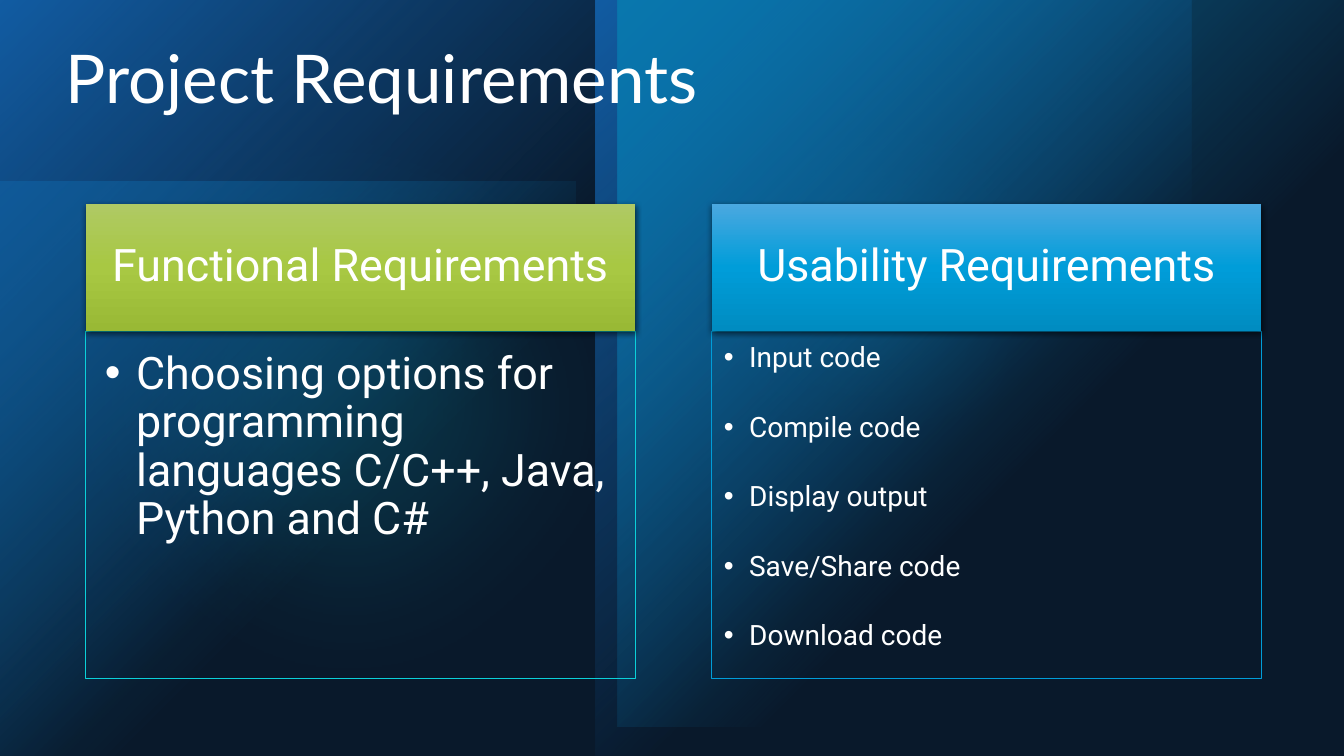
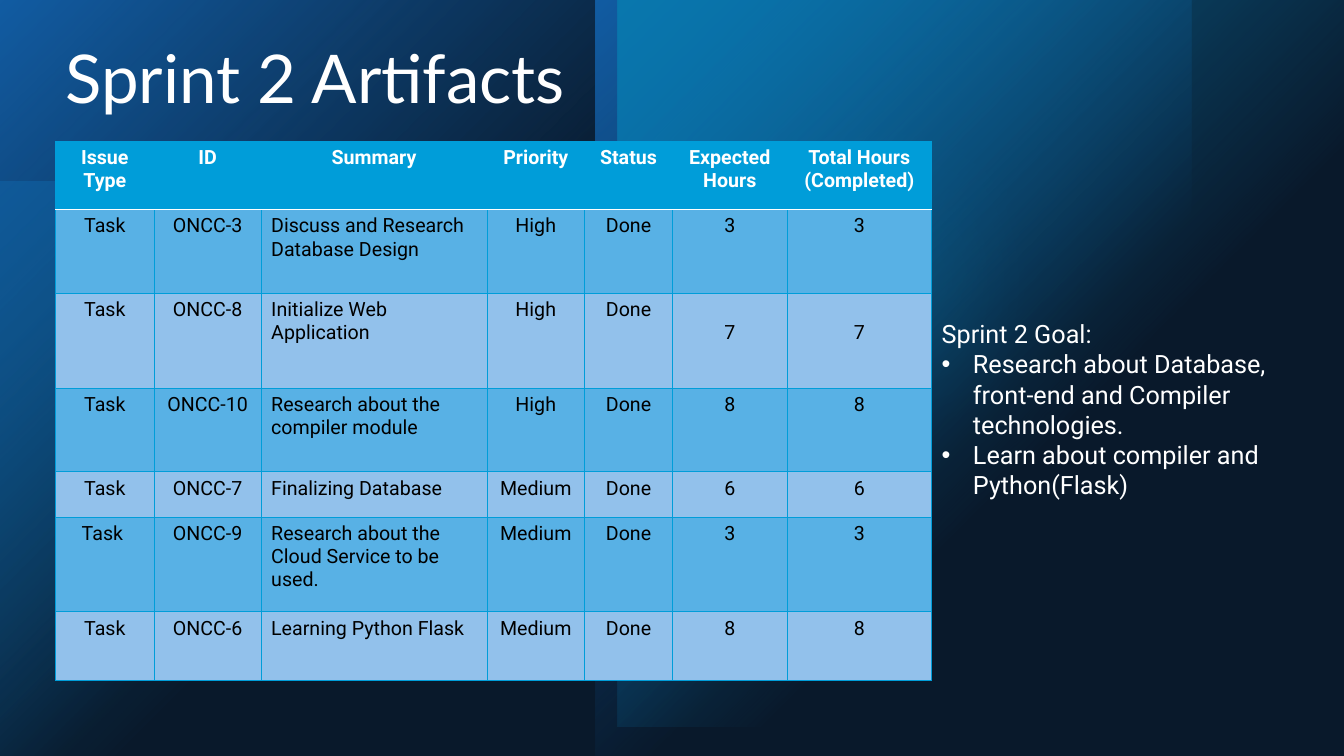
from lxml import etree
from pptx import Presentation
from pptx.dml.color import RGBColor
from pptx.enum.shapes import MSO_SHAPE
from pptx.enum.text import MSO_ANCHOR, MSO_AUTO_SIZE, PP_ALIGN
from pptx.oxml.ns import qn
from pptx.util import Inches, Pt

RECTANGLE, OVAL = MSO_SHAPE.RECTANGLE, MSO_SHAPE.OVAL
TOP, MIDDLE = MSO_ANCHOR.TOP, MSO_ANCHOR.MIDDLE
LEFT, CENTER = PP_ALIGN.LEFT, PP_ALIGN.CENTER
NO_AUTOFIT = MSO_AUTO_SIZE.NONE

COLORS = {
    "black": "000000",
    "white": "FFFFFF",
    "navy": "17406D",
    "blue": "0F6FC6",
    "sky": "009DD9",
    "cyan": "0BD0D9",
    "row_dark": "58B1E5",
    "row_light": "92C1EB",
}
TITLE_FONT, BODY_FONT = "Lato", "Roboto"


def set_gradient(shape, stops, radial=False):
    """Fill with (position, hex colour, opacity) stops, downward or from the top left corner."""
    shape.fill.gradient()
    gradient = shape.element.spPr.find(qn("a:gradFill"))
    gradient.clear()
    gradient.set("rotWithShape", "1")
    stop_list = etree.SubElement(gradient, qn("a:gsLst"))
    for position, color, opacity in stops:
        stop = etree.SubElement(stop_list, qn("a:gs"), pos=str(position * 1000))
        stop_color = etree.SubElement(stop, qn("a:srgbClr"), val=color)
        etree.SubElement(stop_color, qn("a:alpha"), val=str(opacity * 1000))
    if radial:
        direction = etree.SubElement(gradient, qn("a:path"), path="circle")
        etree.SubElement(direction, qn("a:fillToRect"), r="100000", b="100000")
    else:
        etree.SubElement(gradient, qn("a:lin"), ang="5400000", scaled="0")


def format_paragraph(paragraph, size, color="white", font=BODY_FONT, bold=False,
                     alignment=LEFT, spacing=1.0, indent=0, bullet=False):
    properties = paragraph._p.get_or_add_pPr()
    properties.set("marL", str(Inches(indent)))
    properties.set("indent", str(-Inches(indent)))
    if bullet:
        etree.SubElement(properties, qn("a:buFont"), typeface="Arial")
        etree.SubElement(properties, qn("a:buChar"), char="•")
    else:
        etree.SubElement(properties, qn("a:buNone"))
    paragraph.alignment = alignment
    paragraph.line_spacing = spacing
    paragraph.space_before = Pt(0)
    for run in paragraph.runs:
        run.font.name = font
        run.font.size = Pt(size)
        run.font.bold = bold
        run.font.color.rgb = RGBColor.from_string(COLORS[color])


presentation = Presentation()
presentation.slide_width = Inches(13.33)
presentation.slide_height = Inches(7.5)
master = presentation.slide_master
requirements_slide = presentation.slides.add_slide(
    presentation.slide_layouts.get_by_name("Two Content"))
sprint_slide = presentation.slides.add_slide(
    presentation.slide_layouts.get_by_name("Title and Content"))

# Shared background: drawn once, then moved behind everything on the master
master.background.fill.solid()
master.background.fill.fore_color.rgb = RGBColor.from_string(COLORS["black"])
# kind, left, top, width, height, colour, opacity, style
BACKDROP = [
    (RECTANGLE, 0, 1.8, 5.71, 5.71, "sky", 60, "fade"),
    (OVAL, 6.29, 0.43, 4.72, 4.72, "cyan", 60, "glow"),
    (OVAL, 0, 0.56, 6.94, 6.94, "cyan", 20, "glow"),
    (RECTANGLE, 0, 0, 5.91, 7.5, "blue", 100, "fade"),
    (RECTANGLE, 5.91, 0, 5.91, 7.5, "blue", 100, "fade"),
    (RECTANGLE, 6.13, 0, 7.21, 7.21, "sky", 100, "fade"),
    (RECTANGLE, 0, 0, 13.33, 7.5, "navy", 40, "tint"),
]
for index, (kind, left, top, width, height, color, opacity, style) in enumerate(BACKDROP):
    shape = requirements_slide.shapes.add_shape(
        kind, Inches(left), Inches(top), Inches(width), Inches(height))
    shape.line.fill.background()
    shape.shadow.inherit = False
    properties = shape.element.spPr
    if style == "fade":
        set_gradient(shape, [(0, COLORS[color], opacity), (60, COLORS[color], 0)], radial=True)
    else:
        shape.fill.solid()
        shape.fill.fore_color.rgb = RGBColor.from_string(COLORS[color])
        fill_color = properties.find(qn("a:solidFill")).find(qn("a:srgbClr"))
        etree.SubElement(fill_color, qn("a:alpha"), val=str(opacity * 1000))
    if style == "glow":
        effects = properties.find(qn("a:effectLst"))
        etree.SubElement(effects, qn("a:softEdge"), rad=str(Pt(100)))
    shape.element.nvSpPr.cNvPr.set("id", str(100 + index))
    master.shapes.element.insert(2 + index, shape.element)

# Titles
for slide, text in [(requirements_slide, "Project Requirements"),
                    (sprint_slide, "Sprint 2 Artifacts")]:
    title = slide.shapes.title
    title.left, title.top = Inches(0.55), Inches(0.4)
    title.width, title.height = Inches(12.14), Inches(0.99)
    title.text_frame.text = text
    title.text_frame.auto_size = NO_AUTOFIT
    title.text_frame.vertical_anchor = TOP
    format_paragraph(title.text_frame.paragraphs[0], 48, font=TITLE_FONT, spacing=0.9)

# Requirement cards: a header above an outlined list
CARDS = [
    {"left": 0.85, "heading": "Functional Requirements", "line": "cyan",
     "gradient": ("AFC964", "A8C843", "99B935"),
     "size": 32, "indent": 0.31, "insets": (0.19, 0.19, 0.25, 0.28),
     "items": ["Choosing options for programming languages C/C++, Java, Python and C#"]},
    {"left": 7.06, "heading": "Usability Requirements", "line": "sky",
     "gradient": ("4BA8E0", "009DD9", "008CC1"),
     "size": 20, "indent": 0.25, "insets": (0.12, 0.12, 0.16, 0.17),
     "items": ["Input code", "Compile code", "Display output", "Save/Share code",
               "Download code"]},
]
CARD_WIDTH = Inches(5.45)
for card, placeholder_index in zip(CARDS, (1, 2)):
    header = requirements_slide.shapes.add_shape(
        RECTANGLE, Inches(card["left"]), Inches(2.02), CARD_WIDTH, Inches(1.26))
    set_gradient(header, [(position, color, 100)
                          for position, color in zip((0, 50, 100), card["gradient"])])
    header.line.fill.background()
    header.shadow.inherit = False
    shadow = etree.SubElement(
        header.element.spPr.find(qn("a:effectLst")), qn("a:outerShdw"),
        blurRad=str(Pt(4.5)), dist=str(Pt(1.5)), dir="5400000", algn="ctr", rotWithShape="0")
    shadow_color = etree.SubElement(shadow, qn("a:srgbClr"), val=COLORS["black"])
    etree.SubElement(shadow_color, qn("a:alpha"), val="63000")
    header.text_frame.text = card["heading"]
    header.text_frame.vertical_anchor = MIDDLE
    format_paragraph(header.text_frame.paragraphs[0], 32, alignment=CENTER, spacing=0.9)

    body = requirements_slide.placeholders[placeholder_index]
    body.left, body.top = Inches(card["left"]), Inches(3.29)
    body.width, body.height = CARD_WIDTH, Inches(3.44)
    body.line.color.rgb = RGBColor.from_string(COLORS[card["line"]])
    body.line.width = Pt(0.75)
    frame = body.text_frame
    frame.text = "\n".join(card["items"])
    frame.auto_size = NO_AUTOFIT
    frame.vertical_anchor = TOP
    frame.margin_left, frame.margin_top, frame.margin_right, frame.margin_bottom = map(
        Inches, card["insets"])
    for paragraph in frame.paragraphs:
        format_paragraph(paragraph, card["size"], spacing=0.9,
                         indent=card["indent"], bullet=True)
        paragraph.space_after = Pt(28)

# Sprint table
COLUMN_WIDTHS = [0.98, 1.06, 2.24, 0.97, 0.87, 1.14, 1.43]
ROW_HEIGHTS = [0.68, 0.83, 0.94, 0.83, 0.45, 0.94, 0.68]
TASKS = [
    ("Issue Type", "ID", "Summary", "Priority", "Status", "Expected Hours",
     "Total Hours\n(Completed)"),
    ("Task", "ONCC-3", "Discuss and Research Database Design", "High", "Done", "3", "3"),
    ("Task", "ONCC-8", "Initialize Web Application", "High", "Done", "7", "7"),
    ("Task", "ONCC-10", "Research about the compiler module", "High", "Done", "8", "8"),
    ("Task", "ONCC-7", "Finalizing Database", "Medium", "Done", "6", "6"),
    ("Task ", "ONCC-9", "Research about the Cloud Service to be used.", "Medium", "Done",
     "3", "3"),
    ("Task", "ONCC-6", "Learning Python Flask", "Medium", "Done", "8", "8"),
]
SUMMARY_COLUMN = 2
LOWERED_CELLS = [(2, 5), (2, 6)]
table = sprint_slide.shapes.add_table(
    len(TASKS), len(COLUMN_WIDTHS), Inches(0.55), Inches(1.4),
    Inches(sum(COLUMN_WIDTHS)), Inches(sum(ROW_HEIGHTS))).table
table.horz_banding = False
for column, width in zip(table.columns, COLUMN_WIDTHS):
    column.width = Inches(width)
for row, height in zip(table.rows, ROW_HEIGHTS):
    row.height = Inches(height)

for row_index, task in enumerate(TASKS):
    is_header = row_index == 0
    fill_name = "sky" if is_header else ("row_light", "row_dark")[row_index % 2]
    for column_index, text in enumerate(task):
        cell = table.cell(row_index, column_index)
        cell.text_frame.text = text
        if (row_index, column_index) in LOWERED_CELLS:
            cell.margin_top = Inches(0.28)
        is_summary = column_index == SUMMARY_COLUMN and not is_header
        for paragraph in cell.text_frame.paragraphs:
            format_paragraph(paragraph, 14, color="white" if is_header else "black",
                             bold=is_header, alignment=LEFT if is_summary else CENTER)
        cell_properties = cell._tc.get_or_add_tcPr()
        for side in ("lnL", "lnR", "lnT", "lnB"):
            is_divider = (row_index, side) in [(0, "lnB"), (1, "lnT")]
            border = etree.SubElement(cell_properties, qn(f"a:{side}"),
                                      w=str(Pt(1 if is_divider else 0.5)))
            border_fill = etree.SubElement(border, qn("a:solidFill"))
            etree.SubElement(border_fill, qn("a:srgbClr"),
                             val=COLORS["white" if is_divider else "sky"])
        cell.fill.solid()
        cell.fill.fore_color.rgb = RGBColor.from_string(COLORS[fill_name])

# Sprint goal
goal = sprint_slide.placeholders[1]
goal.left, goal.top = Inches(9.24), Inches(3.1)
goal.width, goal.height = Inches(3.94), Inches(1.92)
goal.text_frame.text = "\n".join([
    "Sprint 2 Goal:",
    "Research about Database, front-end and Compiler technologies.",
    "Learn about compiler and Python(Flask)",
])
goal.text_frame.auto_size = NO_AUTOFIT
goal.text_frame.vertical_anchor = MIDDLE
for index, paragraph in enumerate(goal.text_frame.paragraphs):
    is_item = index > 0
    format_paragraph(paragraph, 18, indent=0.31 if is_item else 0, bullet=is_item)

presentation.save("out.pptx")
